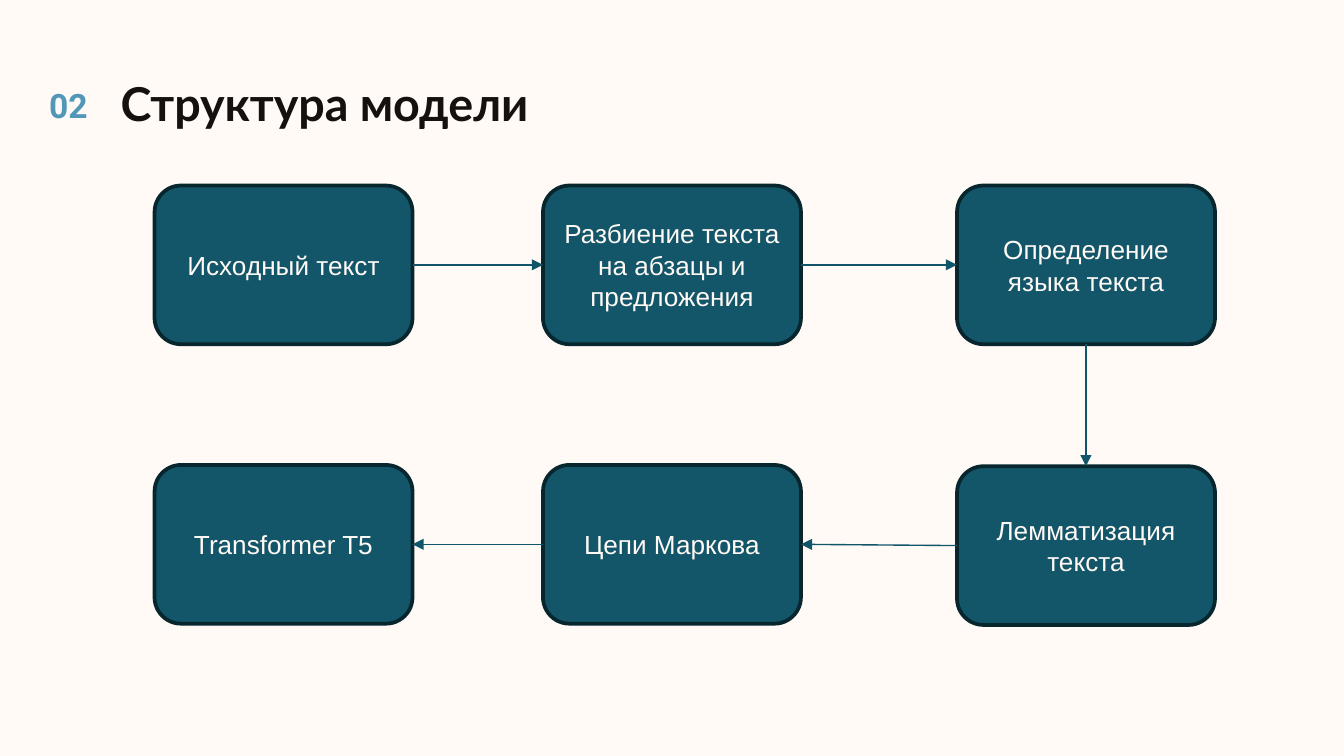
from dataclasses import dataclass
from itertools import pairwise

from lxml.etree import SubElement
from pptx import Presentation
from pptx.dml.color import RGBColor
from pptx.enum.shapes import MSO_CONNECTOR, MSO_SHAPE
from pptx.enum.text import MSO_ANCHOR, PP_ALIGN
from pptx.oxml.ns import qn
from pptx.shapes.autoshape import Shape
from pptx.slide import Slide
from pptx.util import Pt

COLORS = {
    "background": "FFFAF6",
    "number": "5296B8",
    "title": "15110E",
    "box": "135669",
    "border": "08262E",
    "arrow": "105569",
    "label": "FFFAF6",
}
COLUMNS = (82.8, 290.9, 512.7)
TOP_ROW, BOTTOM_ROW = 99.4, 249.1
BOX_WIDTH, BOX_HEIGHT = 138.2, 85
TOP_SITE, LEFT_SITE, BOTTOM_SITE, RIGHT_SITE = range(4)


@dataclass(frozen=True)
class Heading:
    text: str
    left: float
    top: float
    width: float
    height: float
    color: str
    alignment: PP_ALIGN
    anchor: MSO_ANCHOR
    font: dict


@dataclass(frozen=True)
class Step:
    text: str
    column: int
    top: float


HEADINGS = (
    Heading("02", 15.1, 36.7, 43.2, 38.9, "number", PP_ALIGN.CENTER,
            MSO_ANCHOR.MIDDLE, {"name": "Roboto", "size": Pt(18), "bold": True}),
    Heading("Структура модели", 57.6, 33.1, 662.4, 43.2, "title", PP_ALIGN.LEFT,
            MSO_ANCHOR.TOP, {"name": "Lato", "size": Pt(25), "bold": True}),
)
STEPS = (
    Step("Исходный текст", 0, TOP_ROW),
    Step("Разбиение текста на абзацы и предложения", 1, TOP_ROW),
    Step("Определение языка текста", 2, TOP_ROW),
    Step("Лемматизация текста", 2, BOTTOM_ROW + 0.7),
    Step("Цепи Маркова", 1, BOTTOM_ROW),
    Step("Transformer T5", 0, BOTTOM_ROW),
)
LABEL_FONT = {"name": "Arial", "size": Pt(14), "bold": False}


def rgb(name: str) -> RGBColor:
    return RGBColor.from_string(COLORS[name])


def set_attributes(target: object, values: dict) -> None:
    for name, value in values.items():
        setattr(target, name, value)


def write_text(shape: Shape, text: str, color: str, font: dict,
               alignment: PP_ALIGN, frame_format: dict) -> None:
    set_attributes(shape.text_frame, {"word_wrap": True, **frame_format})
    paragraph = shape.text_frame.paragraphs[0]
    paragraph.alignment = alignment
    run = paragraph.add_run()
    run.text = text
    set_attributes(run.font, font)
    run.font.color.rgb = rgb(color)


def draw_heading(slide: Slide, heading: Heading) -> None:
    shape = slide.shapes.add_textbox(
        Pt(heading.left), Pt(heading.top), Pt(heading.width), Pt(heading.height))
    sides = ("left", "right", "top", "bottom")
    margins = {f"margin_{side}": Pt(7.2) for side in sides}
    write_text(shape, heading.text, heading.color, heading.font, heading.alignment,
               {"vertical_anchor": heading.anchor, **margins})


def draw_step(slide: Slide, step: Step) -> Shape:
    shape = slide.shapes.add_shape(
        MSO_SHAPE.ROUNDED_RECTANGLE, Pt(COLUMNS[step.column]), Pt(step.top),
        Pt(BOX_WIDTH), Pt(BOX_HEIGHT))
    shape.shadow.inherit = False
    shape.fill.solid()
    shape.fill.fore_color.rgb = rgb("box")
    shape.line.color.rgb = rgb("border")
    shape.line.width = Pt(2)
    write_text(shape, step.text, "label", LABEL_FONT, PP_ALIGN.CENTER,
               {"vertical_anchor": MSO_ANCHOR.MIDDLE})
    return shape


def connection_sites(start: Step, end: Step) -> tuple[int, int]:
    if start.column == end.column:
        return BOTTOM_SITE, TOP_SITE
    if start.column < end.column:
        return RIGHT_SITE, LEFT_SITE
    return LEFT_SITE, RIGHT_SITE


def draw_arrow(slide: Slide, start: Shape, end: Shape, sites: tuple[int, int]) -> None:
    connector = slide.shapes.add_connector(
        MSO_CONNECTOR.STRAIGHT, Pt(0), Pt(0), Pt(0), Pt(0))
    connector.begin_connect(start, sites[0])
    connector.end_connect(end, sites[1])
    connector.line.color.rgb = rgb("arrow")
    connector.line.width = Pt(0.75)
    properties = connector._element.spPr
    SubElement(properties.find(qn("a:ln")), qn("a:tailEnd"), type="triangle")
    SubElement(properties, qn("a:effectLst"))


def main() -> None:
    presentation = Presentation()
    set_attributes(presentation, {"slide_width": Pt(720), "slide_height": Pt(405)})
    slide = presentation.slides.add_slide(presentation.slide_layouts[6])
    slide.background.fill.solid()
    slide.background.fill.fore_color.rgb = rgb("background")
    for heading in HEADINGS:
        draw_heading(slide, heading)
    boxes = [draw_step(slide, step) for step in STEPS]
    for (start, start_box), (end, end_box) in pairwise(zip(STEPS, boxes)):
        draw_arrow(slide, start_box, end_box, connection_sites(start, end))
    presentation.save("out.pptx")


if __name__ == "__main__":
    main()
